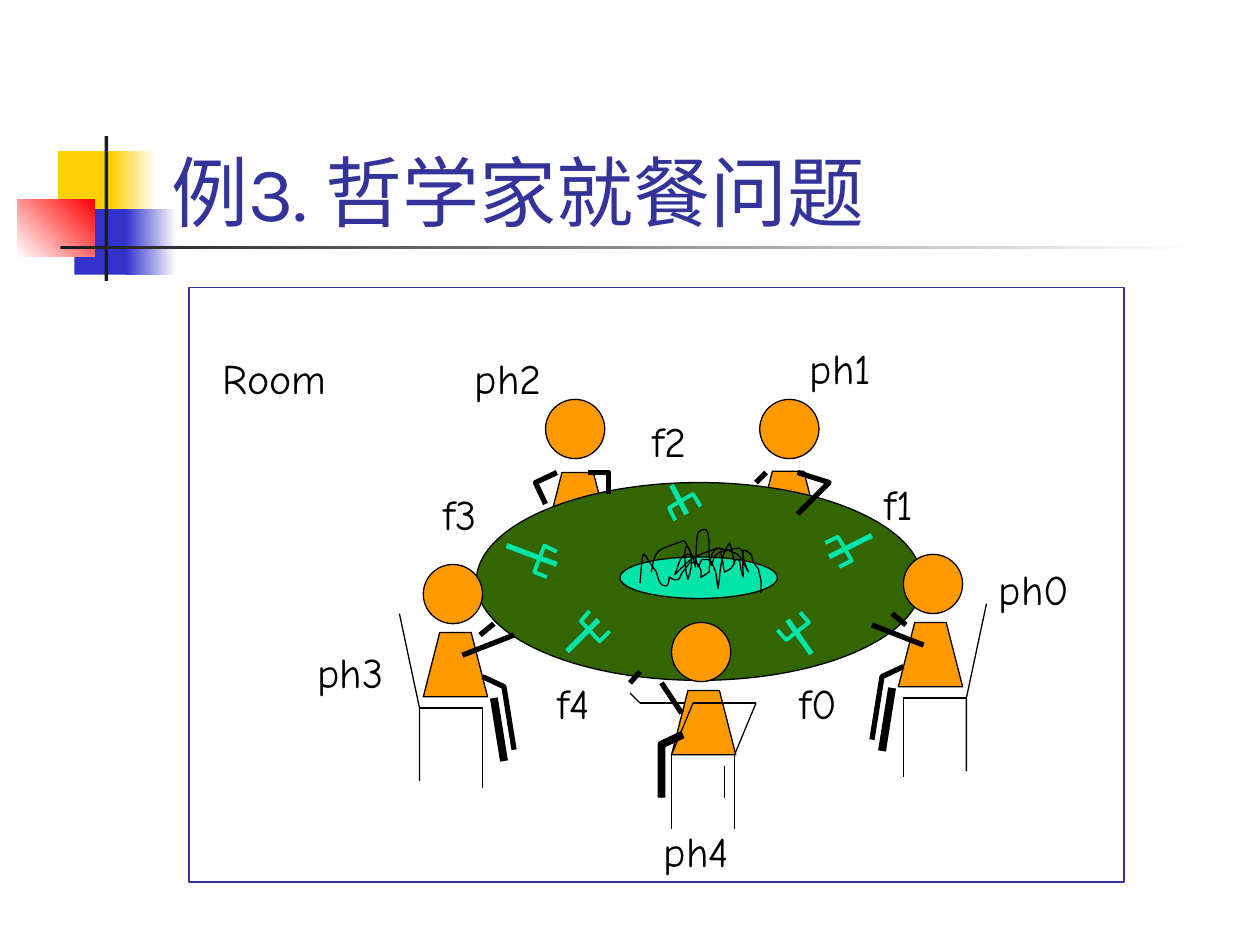
from lxml.etree import SubElement
from pptx import Presentation
from pptx.dml.color import RGBColor
from pptx.enum.shapes import MSO_CONNECTOR, MSO_SHAPE
from pptx.enum.text import MSO_ANCHOR
from pptx.oxml.ns import qn
from pptx.util import Cm, Pt

BLACK, NAVY, ORANGE, TEAL, GREEN = "000000", "333399", "FF9900", "00E4A8", "336600"
HEAD_SIZE = 0.47
THIN, LIMB, LEG = 0.75, 3, 4.5


def color(hex_text):
    return RGBColor.from_string(hex_text)


def inch(value):
    return Cm(value * 2.54)


def style(shape, fill=None, line=None, width=THIN):
    shape.shadow.inherit = False
    if fill:
        shape.fill.solid()
        shape.fill.fore_color.rgb = color(fill)
    else:
        shape.fill.background()
    if line:
        shape.line.color.rgb = color(line)
        shape.line.width = Pt(width)
    else:
        shape.line.fill.background()


def preset(shapes, kind, box, fill=None, line=None):
    shape = shapes.add_shape(kind, *map(inch, box))
    style(shape, fill, line)
    return shape


def fade(shapes, box, start, end, angle=0):
    band = preset(shapes, MSO_SHAPE.RECTANGLE, box)
    band.fill.gradient()
    band.fill.gradient_angle = angle
    for stop, hex_text in zip(band.fill.gradient_stops, (start, end)):
        stop.color.rgb = color(hex_text)


def stroke(shapes, start, end, width=THIN, line=BLACK):
    segment = shapes.add_connector(MSO_CONNECTOR.STRAIGHT, *map(inch, (*start, *end)))
    segment.line.color.rgb = color(line)
    segment.line.width = Pt(width)
    SubElement(segment._element.spPr, qn("a:effectLst"))


def outline(shapes, points, width=THIN, line=BLACK, fill=None):
    corners = [(inch(x), inch(y)) for x, y in points]
    builder = shapes.build_freeform(*corners[0])
    builder.add_line_segments(corners[1:], close=bool(fill))
    style(builder.convert_to_shape(), fill, line, width)


def curve(shapes, start, bends, steps=6):
    """Draw a chain of cubic bends, each given as two handles and an end."""
    points = [start]
    for x1, y1, x2, y2, x3, y3 in bends:
        x0, y0 = points[-1]
        for t in (step / steps for step in range(1, steps + 1)):
            s = 1 - t
            a, b, c, d = s**3, 3 * s * s * t, 3 * s * t * t, t**3
            points.append((a * x0 + b * x1 + c * x2 + d * x3,
                           a * y0 + b * y1 + c * y2 + d * y3))
    outline(shapes, points)


def head(shapes, left, top):
    preset(shapes, MSO_SHAPE.OVAL, (left, top, HEAD_SIZE, HEAD_SIZE), ORANGE, BLACK)


def torso(shapes, left, top):
    corners = [(0, 0.51), (0.13, 0), (0.38, 0), (0.51, 0.51)]
    outline(shapes, [(left + x, top + y) for x, y in corners], fill=ORANGE)


def side_diner(shapes, mirrored=False):
    """Left-hand seated diner, or its mirror image on the right."""
    diner = shapes.add_group_shape().shapes

    def at(*points):
        return [(11 - x, y - 0.08) if mirrored else (x, y) for x, y in points]

    # Chair
    outline(diner, at((3.17, 4.87), (3.33, 5.62), (3.33, 6.2)))
    stroke(diner, *at((3.83, 5.62), (3.83, 6.25)))
    stroke(diner, *at((3.33, 5.62), (3.83, 5.62)))
    # Body
    torso(diner, 7.13 if mirrored else 3.36, 4.94 if mirrored else 5.02)
    head(diner, 7.17 if mirrored else 3.36, 4.4 if mirrored else 4.48)
    # Legs and arms
    stroke(diner, *at((3.92, 5.54), (4, 6.04)), LEG)
    outline(diner, at((3.83, 5.37), (4, 5.45), (4.08, 5.95)), LIMB)
    stroke(diner, *at((3.67, 5.2), (4.08, 5.04)), LIMB)
    stroke(diner, *at((3.81, 5.04), (3.92, 4.95)), LIMB)


def front_diner(shapes):
    stroke(shapes, (5.08, 5.58), (5.58, 5.58))
    stroke(shapes, (5, 5.5), (5.08, 5.58))
    stroke(shapes, (5.08, 5.33), (5, 5.42), LIMB)
    diner = shapes.add_group_shape().shapes
    torso(diner, 5.33, 5.48)
    # Chair
    for left in (5.33, 5.83):
        stroke(diner, (left, 5.99), (left, 6.58))
        stroke(diner, (left, 5.99), (left + 0.17, 5.58))
    stroke(diner, (5.5, 5.58), (6, 5.58))
    head(diner, 5.33, 4.94)
    stroke(diner, (5.25, 5.99), (5.25, 6.33))
    stroke(diner, (5.75, 6.08), (5.75, 6.33))
    # Arm and leg
    stroke(diner, (5.25, 5.42), (5.41, 5.66), LIMB)
    outline(diner, [(5.42, 5.83), (5.25, 5.91), (5.25, 6.33)], LEG)


def back_diners(shapes):
    right = shapes.add_group_shape().shapes
    head(right, 6.03, 3.17)
    outline(right, [(6.33, 3.75), (6.58, 3.83), (6.33, 4.08)], LIMB)
    stroke(right, (6.08, 3.75), (6, 3.83), LIMB)
    head(shapes, 4.33, 3.17)
    outline(shapes, [(4.42, 3.75), (4.25, 3.83), (4.33, 4)], LIMB)
    outline(shapes, [(4.67, 3.75), (4.83, 3.75), (4.83, 3.92)], LIMB)


def spaghetti(shapes):
    preset(shapes, MSO_SHAPE.OVAL, (4.92, 4.42, 1.25, 0.33), TEAL, BLACK)
    curve(shapes, (5.17, 4.54), [
        (5.2, 4.34, 5.22, 4.37, 5.43, 4.29), (5.51, 4.4, 5.5, 4.48, 5.46, 4.6),
        (5.43, 4.52, 5.41, 4.18, 5.5, 4.42), (5.51, 4.44, 5.51, 4.47, 5.52, 4.5),
        (5.53, 4.41, 5.52, 4.32, 5.54, 4.23), (5.55, 4.21, 5.6, 4.19, 5.61, 4.21),
        (5.64, 4.27, 5.62, 4.35, 5.63, 4.42), (5.64, 4.46, 5.67, 4.5, 5.68, 4.54),
        (5.69, 4.58, 5.69, 4.62, 5.7, 4.67), (5.72, 4.54, 5.71, 4.42, 5.79, 4.31),
        (5.8, 4.33, 5.81, 4.35, 5.81, 4.38), (5.82, 4.41, 5.83, 4.48, 5.83, 4.48)])
    curve(shapes, (5.08, 4.63), [
        (5.11, 4.3, 5.08, 4.37, 5.21, 4.54), (5.22, 4.57, 5.23, 4.66, 5.29, 4.65),
        (5.31, 4.64, 5.31, 4.6, 5.31, 4.58), (5.33, 4.59, 5.35, 4.61, 5.38, 4.6),
        (5.4, 4.6, 5.4, 4.56, 5.42, 4.54), (5.44, 4.51, 5.46, 4.49, 5.48, 4.46),
        (5.5, 4.47, 5.53, 4.46, 5.54, 4.48), (5.61, 4.58, 5.5, 4.62, 5.63, 4.54),
        (5.63, 4.52, 5.63, 4.35, 5.71, 4.35), (5.73, 4.35, 5.72, 4.4, 5.73, 4.42),
        (5.74, 4.46, 5.74, 4.5, 5.75, 4.54), (5.77, 4.53, 5.8, 4.52, 5.81, 4.5),
        (5.83, 4.48, 5.83, 4.44, 5.85, 4.44), (5.88, 4.44, 5.87, 4.48, 5.88, 4.5),
        (5.88, 4.53, 5.89, 4.56, 5.9, 4.58), (5.88, 4.36, 5.95, 4.31, 5.73, 4.38),
        (5.7, 4.38, 5.69, 4.4, 5.67, 4.42), (5.62, 4.57, 5.69, 4.42, 5.58, 4.44),
        (5.56, 4.44, 5.56, 4.48, 5.54, 4.5), (5.53, 4.46, 5.52, 4.4, 5.46, 4.4),
        (5.43, 4.4, 5.42, 4.42, 5.4, 4.44), (5.34, 4.62, 5.33, 4.57, 5.44, 4.48),
        (5.46, 4.46, 5.49, 4.43, 5.52, 4.42), (5.57, 4.39, 5.63, 4.38, 5.69, 4.35),
        (5.73, 4.36, 5.77, 4.36, 5.81, 4.38), (5.89, 4.4, 5.9, 4.48, 5.94, 4.54),
        (5.92, 4.49, 5.89, 4.43, 5.9, 4.38), (5.9, 4.35, 5.94, 4.38, 5.96, 4.4),
        (5.97, 4.41, 5.97, 4.44, 5.98, 4.46), (5.99, 4.48, 6.01, 4.5, 6.02, 4.52),
        (6.05, 4.65, 6.04, 4.59, 6.04, 4.71)])


def fork(shapes, handle, prongs):
    stroke(shapes, *handle, LIMB, TEAL)
    outline(shapes, prongs, 2.25, TEAL)


def label(shapes, text, box, size=24, font="Comic Neue", ink=BLACK, anchor=MSO_ANCHOR.TOP):
    frame = shapes.add_textbox(*map(inch, box)).text_frame
    frame.word_wrap = True
    frame.vertical_anchor = anchor
    run = frame.paragraphs[0].add_run()
    run.text = text
    run.font.size = Pt(size)
    run.font.name = font
    run.font.color.rgb = color(ink)


def main():
    deck = Presentation()
    deck.slide_width, deck.slide_height = inch(10), inch(7.5)
    shapes = deck.slides.add_slide(deck.slide_layouts[6]).shapes

    # Corner ornament and rule
    preset(shapes, MSO_SHAPE.RECTANGLE, (0.46, 1.2, 0.48, 0.52), "FFCF01")
    fade(shapes, (0.88, 1.2, 0.36, 0.52), "FFCF01", "FFFFFF")
    preset(shapes, MSO_SHAPE.RECTANGLE, (0.59, 1.66, 0.46, 0.52), "3333CC")
    fade(shapes, (1, 1.66, 0.4, 0.52), "3333CC", "FFFFFF")
    fade(shapes, (0.14, 1.58, 0.61, 0.46), "FFFFFF", "FF0000", angle=45)
    preset(shapes, MSO_SHAPE.RECTANGLE, (0.83, 1.08, 0.03, 1.15), "1C1C1C")
    fade(shapes, (0.48, 1.95, 9, 0.03), "1C1C1C", "FFFFFF")
    label(shapes, "例3. 哲学家就餐问题", (1.26, 0.68, 8.52, 1.25), 44, "Karla", NAVY,
          MSO_ANCHOR.BOTTOM)

    # Room, table and diners
    preset(shapes, MSO_SHAPE.RECTANGLE, (1.5, 2.28, 7.42, 4.72), line=NAVY)
    torso(shapes, 4.33, 3.75)
    torso(shapes, 6, 3.74)
    preset(shapes, MSO_SHAPE.OVAL, (3.78, 3.83, 3.54, 1.57), GREEN, BLACK)
    side_diner(shapes)
    side_diner(shapes, mirrored=True)
    front_diner(shapes)
    back_diners(shapes)
    spaghetti(shapes)

    # Forks: handle, then prongs
    for handle, prongs in [
        ([(6.25, 4.92), (6.44, 5.19)], [(6.17, 5), (6.24, 5.08), (6.42, 4.94), (6.35, 4.86)]),
        ([(6.92, 4.25), (6.58, 4.42)], [(6.66, 4.5), (6.76, 4.45), (6.65, 4.26), (6.55, 4.31)]),
        ([(5.33, 3.85), (5.45, 4.08)], [(5.56, 4.02), (5.5, 3.92), (5.31, 4.03), (5.36, 4.13)]),
        ([(4.02, 4.33), (4.42, 4.48)], [(4.42, 4.38), (4.32, 4.33), (4.24, 4.54), (4.34, 4.58)]),
        ([(4.75, 4.92), (4.5, 5.17)], [(4.68, 4.85), (4.61, 4.93), (4.76, 5.09), (4.84, 5.01)]),
    ]:
        fork(shapes, handle, prongs)

    # Labels
    for text, left, top, width in [
        ("Room", 1.67, 2.75, 1.17),
        ("ph0", 7.83, 4.42, 0.83), ("ph1", 6.33, 2.67, 0.92), ("ph2", 3.67, 2.75, 0.83),
        ("ph3", 2.42, 5.08, 0.92), ("ph4", 5.17, 6.5, 0.92),
        ("f0", 6.25, 5.33, 0.58), ("f1", 6.92, 3.75, 0.67), ("f2", 5.08, 3.25, 0.67),
        ("f3", 3.42, 3.83, 0.67), ("f4", 4.33, 5.33, 0.58),
    ]:
        label(shapes, text, (left, top, width, 0.5))

    deck.save("out.pptx")


if __name__ == "__main__":
    main()
